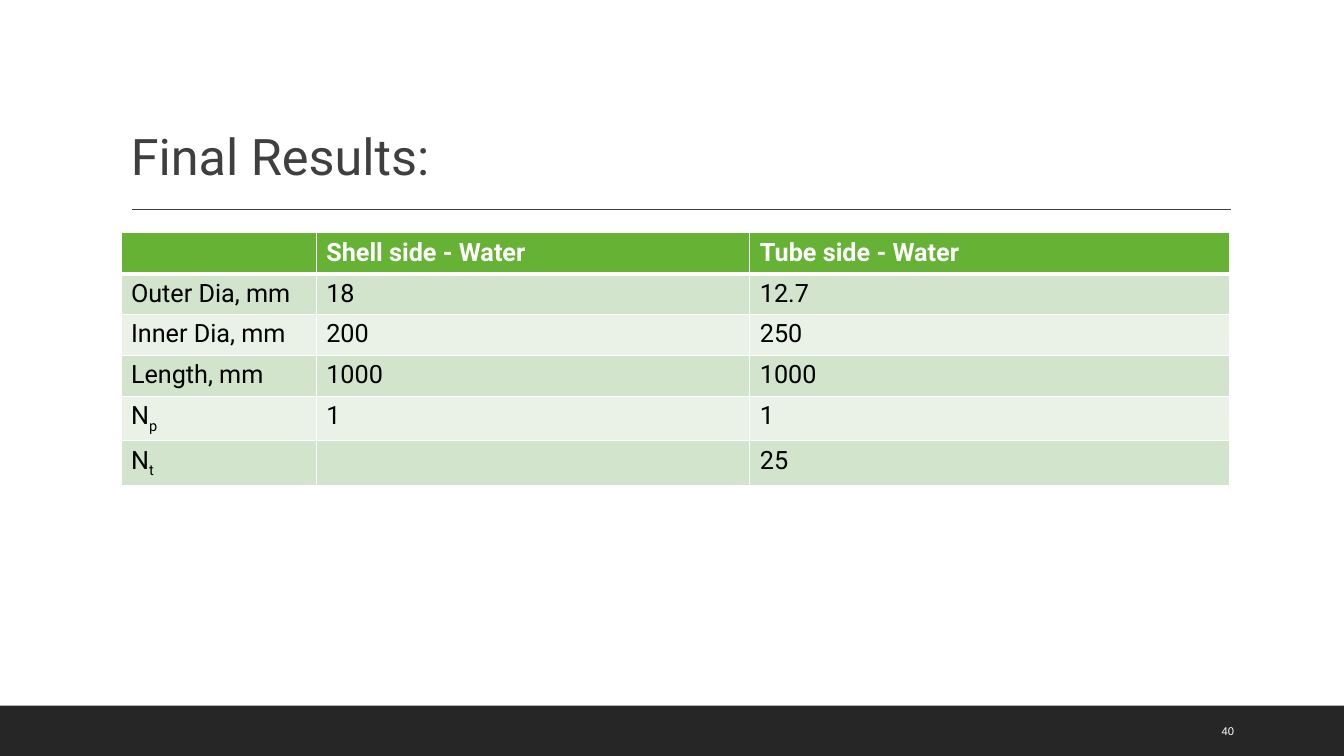
import lxml.etree
import pptx
import pptx.dml.color
import pptx.enum.shapes
import pptx.enum.text
import pptx.oxml
import pptx.oxml.ns
import pptx.util

Pt = pptx.util.Pt
ANCHOR = pptx.enum.text.MSO_ANCHOR
COLUMN_WIDTHS = (139.5, 309.7, 342.8)
ROW_HEIGHT = 29.2
RESULTS = (
    ("", "Shell side - Water", "Tube side - Water"),
    ("Outer Dia, mm", "18", "12.7"),
    ("Inner Dia, mm", "200", "250"),
    ("Length, mm", "1000", "1000"),
    (("N", "p"), "1", "1"),
    (("N", "t"), "", "25"),
)


def color(value):
    """Return the colour for a hex string."""
    return pptx.dml.color.RGBColor.from_string(value)


def add_text(para, text, size=18, font="Roboto", fill="000000", bold=False, subscript=False):
    """Add one formatted span to a paragraph."""
    span = para.add_run()
    span.text = text
    span.font.size = Pt(size)
    span.font.name = font
    span.font.bold = bold
    span.font.color.rgb = color(fill)
    if subscript:
        span.font._element.set("baseline", "-25000")


def add_box(page, left, top, width, height, anchor):
    """Add a wrapping text box and return its first paragraph."""
    frame = page.shapes.add_textbox(Pt(left), Pt(top), Pt(width), Pt(height)).text_frame
    frame.word_wrap = True
    frame.vertical_anchor = anchor
    return frame.paragraphs[0]


def add_title(page, left, top, width, height):
    """Add the heading and the rule beneath it."""
    para = add_box(page, left, top, width, height, ANCHOR.BOTTOM)
    para.line_spacing = 0.9
    add_text(para, "Final Results:", size=36, fill="3F3F3F")
    rule_top = top + height + 13
    rule = page.shapes.add_connector(
        pptx.enum.shapes.MSO_CONNECTOR.STRAIGHT,
        Pt(left + 8), Pt(rule_top), Pt(left + width + 1), Pt(rule_top))
    rule.line.color.rgb = color("3F3F3F")
    rule.line.width = Pt(1)
    lxml.etree.SubElement(rule._element.spPr, pptx.oxml.ns.qn("a:effectLst"))


def add_borders(cell, bottom):
    """Give a cell white borders with the given bottom width."""
    properties = cell._tc.get_or_add_tcPr()
    for side, width in (("L", 1), ("R", 1), ("T", 1), ("B", bottom)):
        properties.append(pptx.oxml.parse_xml(
            f'<a:ln{side} {pptx.oxml.ns.nsdecls("a")} w="{Pt(width)}">'
            f'<a:solidFill><a:srgbClr val="FFFFFF"/></a:solidFill></a:ln{side}>'))


def add_results(page, left, top, width):
    """Add the table of exchanger dimensions."""
    table = page.shapes.add_table(
        len(RESULTS), len(COLUMN_WIDTHS), Pt(left), Pt(top),
        Pt(width), Pt(ROW_HEIGHT * len(RESULTS))).table
    for column, column_width in zip(table.columns, COLUMN_WIDTHS):
        column.width = Pt(column_width)
    for row, values in enumerate(RESULTS):
        header = row == 0
        table.rows[row].height = Pt(ROW_HEIGHT)
        for column, value in enumerate(values):
            cell = table.cell(row, column)
            add_borders(cell, bottom=3 if header else 1)
            cell.fill.solid()
            cell.fill.fore_color.rgb = color(
                "65B234" if header else "D2E4CC" if row % 2 else "EAF2E7")
            parts = (value,) if isinstance(value, str) else value
            for index, part in enumerate(parts):
                if part:
                    add_text(cell.text_frame.paragraphs[0], part, bold=header,
                             fill="FFFFFF" if header else "000000", subscript=index > 0)


def add_footer(page, left, top, width, height):
    """Add the dark band with the page number."""
    band = page.shapes.add_shape(
        pptx.enum.shapes.MSO_SHAPE.RECTANGLE, Pt(left), Pt(top), Pt(width), Pt(height))
    band.shadow.inherit = False
    band.fill.solid()
    band.fill.fore_color.rgb = color("262626")
    band.line.fill.background()
    para = add_box(page, left + width - 94.5, top + 3.6, 61.2, 28.8, ANCHOR.MIDDLE)
    add_text(para, "40", size=8, font="Arial", fill="FFFFFF")


def main():
    """Build and save the deck."""
    deck = pptx.Presentation()
    deck.slide_width, deck.slide_height = Pt(960), Pt(540)
    page = deck.slides.add_slide(deck.slide_layouts[6])
    add_footer(page, 0, 504, 960, 36)
    add_title(page, 86.4, 22.3, 792, 114.5)
    add_results(page, 86.4, 166.3, sum(COLUMN_WIDTHS))
    deck.save("out.pptx")


if __name__ == "__main__":
    main()
